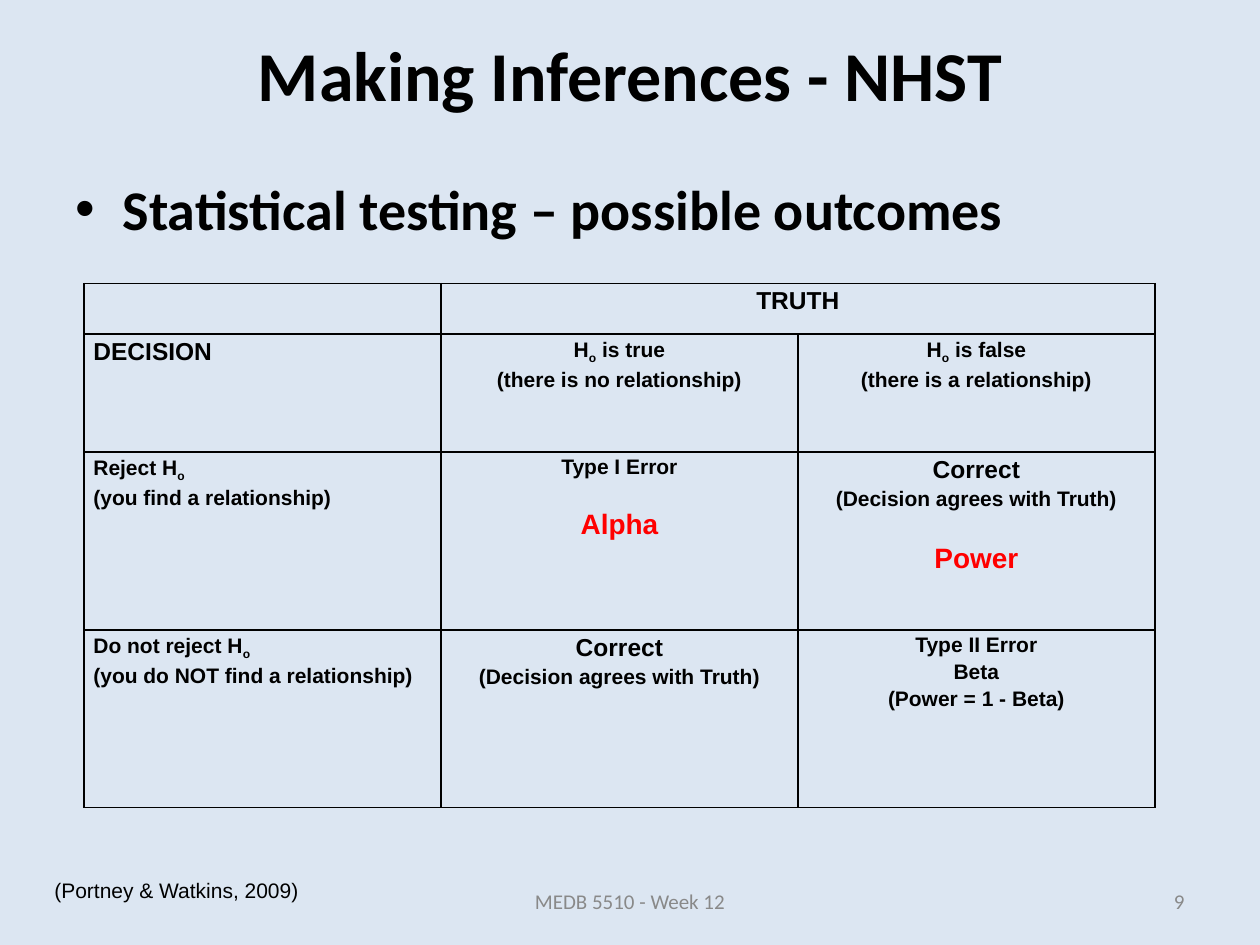
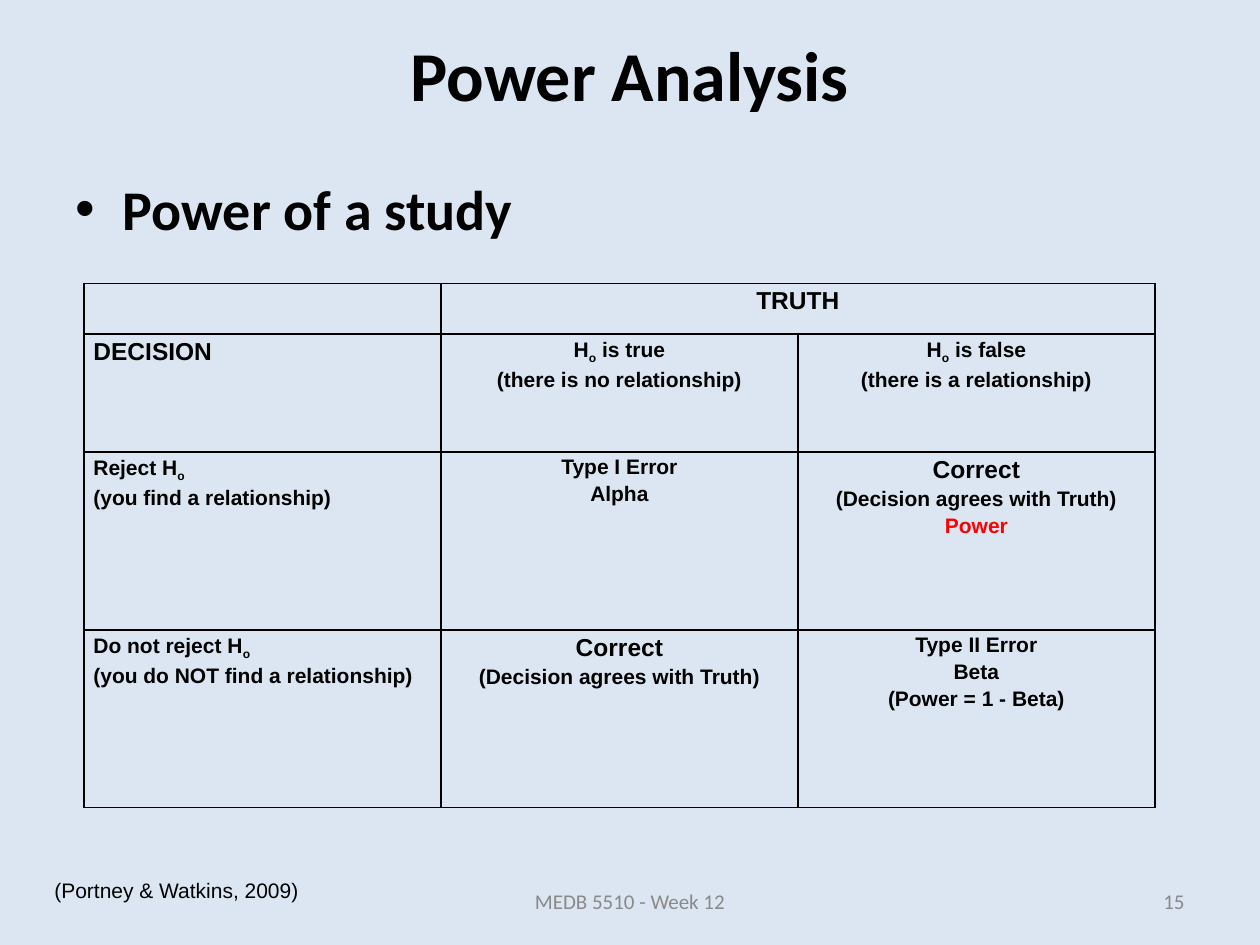
from dataclasses import dataclass

from lxml.etree import SubElement
from pptx import Presentation
from pptx.dml.color import RGBColor
from pptx.enum.text import MSO_ANCHOR, MSO_AUTO_SIZE, PP_ALIGN
from pptx.oxml import parse_xml
from pptx.oxml.ns import nsdecls, qn
from pptx.util import Pt

BACKGROUND = RGBColor(0xDC, 0xE6, 0xF2)
BLACK = RGBColor(0, 0, 0)
RED = RGBColor(0xFF, 0, 0)
GRAY = RGBColor(0x89, 0x89, 0x89)

COLUMN_WIDTHS = [204, 204, 204]
ROW_HEIGHTS = [28.8, 67.6, 101.6, 101.6]


@dataclass
class Line:
    text: str
    size: float = 12
    color: RGBColor = BLACK
    before: float = 0


def write(para, text, size=12, font="Arial", color=BLACK, bold=False,
          align=PP_ALIGN.LEFT, before=0, spacing=None):
    para.alignment = align
    if before:
        para.space_before = Pt(before)
    if spacing:
        para.line_spacing = spacing
    base, mark, rest = text.partition("_")
    pieces = [(base, False)]
    if mark:
        pieces += [(rest[:1], True), (rest[1:], False)]
    for piece, lowered in pieces:
        if not piece:
            continue
        span = para.add_run()
        span.text = piece
        span.font.size = Pt(size)
        span.font.name = font
        span.font.bold = bold
        span.font.color.rgb = color
        if lowered:
            span.font._element.set("baseline", "-25000")


class Lecture:
    def __init__(self):
        self.deck = Presentation()
        self.deck.slide_width = Pt(720)
        self.deck.slide_height = Pt(540)
        self.page = None

    def add_page(self, title, topic, number, outcomes):
        self.page = self.deck.slides.add_slide(self.deck.slide_layouts[6])
        fill = self.page.background.fill
        fill.solid()
        fill.fore_color.rgb = BACKGROUND
        self.text(title, 36, 0, 648, 84, anchor=MSO_ANCHOR.MIDDLE, size=40,
                  font="Calibri", bold=True, align=PP_ALIGN.CENTER)
        self.table(outcomes, 48, 162)
        source = self.text("(Portney & Watkins, 2009)", 24, 498, 186, 21.8)
        source.text_frame.auto_size = MSO_AUTO_SIZE.SHAPE_TO_FIT_TEXT
        self.bullet(topic, 36, 96, 648, 72)
        self.footer("MEDB 5510 - Week 12", 246, 228, PP_ALIGN.CENTER)
        self.footer(str(number), 516, 168, PP_ALIGN.RIGHT)

    def text(self, text, left, top, width, height, anchor=MSO_ANCHOR.TOP, **style):
        box = self.page.shapes.add_textbox(Pt(left), Pt(top), Pt(width), Pt(height))
        box.text_frame.word_wrap = True
        box.text_frame.vertical_anchor = anchor
        write(box.text_frame.paragraphs[0], text, **style)
        return box

    def bullet(self, text, left, top, width, height):
        box = self.text(text, left, top, width, height, size=32,
                        font="Calibri", bold=True)
        props = box.text_frame.paragraphs[0]._p.get_or_add_pPr()
        props.set("marL", str(Pt(27)))
        props.set("indent", str(Pt(-27)))
        SubElement(props, qn("a:buFont")).set("typeface", "Arial")
        SubElement(props, qn("a:buChar")).set("char", "•")

    def footer(self, text, left, width, align):
        self.text(text, left, 500.4, width, 28.8, anchor=MSO_ANCHOR.MIDDLE,
                  font="Calibri", color=GRAY, align=align)

    def table(self, rows, left, top):
        frame = self.page.shapes.add_table(
            len(ROW_HEIGHTS), len(COLUMN_WIDTHS), Pt(left), Pt(top),
            Pt(sum(COLUMN_WIDTHS)), Pt(sum(ROW_HEIGHTS)))
        table = frame.table
        table.first_row = False
        table.horz_banding = False
        for column, width in zip(table.columns, COLUMN_WIDTHS):
            column.width = Pt(width)
        for row, height in zip(table.rows, ROW_HEIGHTS):
            row.height = Pt(height)
        table.cell(0, 1).merge(table.cell(0, 2))
        for row, contents in zip(table.rows, rows):
            for index, (cell, lines) in enumerate(zip(row.cells, contents)):
                self.cell(cell, lines, PP_ALIGN.CENTER if index else PP_ALIGN.LEFT)

    def cell(self, cell, lines, align):
        cell.margin_left = cell.margin_right = Pt(5.4)
        cell.margin_top = cell.margin_bottom = 0
        cell.fill.background()
        props = cell._tc.get_or_add_tcPr()
        for index, side in enumerate(["lnL", "lnR", "lnT", "lnB"]):
            props.insert(index, parse_xml(
                f'<a:{side} {nsdecls("a")} w="{Pt(1)}"><a:solidFill>'
                f'<a:srgbClr val="{BLACK}"/></a:solidFill></a:{side}>'))
        for index, line in enumerate(lines):
            frame = cell.text_frame
            para = frame.add_paragraph() if index else frame.paragraphs[0]
            write(para, line.text, size=line.size, color=line.color, bold=True,
                  align=align, before=line.before, spacing=1.15)

    def save(self):
        self.deck.save("out.pptx")


def outcome_rows(alpha, power):
    correct = [Line("Correct", size=14), Line("(Decision agrees with Truth)")]
    return [
        [[], [Line("TRUTH", size=14)], []],
        [[Line("DECISION", size=14)],
         [Line("H_o is true"), Line("(there is no relationship)")],
         [Line("H_o is false"), Line("(there is a relationship)")]],
        [[Line("Reject H_o"), Line("(you find a relationship)")],
         [Line("Type I Error"), alpha],
         correct + [power]],
        [[Line("Do not reject H_o"), Line("(you do NOT find a relationship)")],
         correct,
         [Line("Type II Error"), Line("Beta"), Line("(Power = 1 - Beta)")]],
    ]


def main():
    lecture = Lecture()
    lecture.add_page(
        "Making Inferences - NHST", "Statistical testing – possible outcomes", 9,
        outcome_rows(Line("Alpha", size=16, color=RED, before=14.5),
                     Line("Power", size=16, color=RED, before=15.9)))
    lecture.add_page(
        "Power Analysis", "Power of a study", 15,
        outcome_rows(Line("Alpha"), Line("Power", color=RED)))
    lecture.save()


if __name__ == "__main__":
    main()
